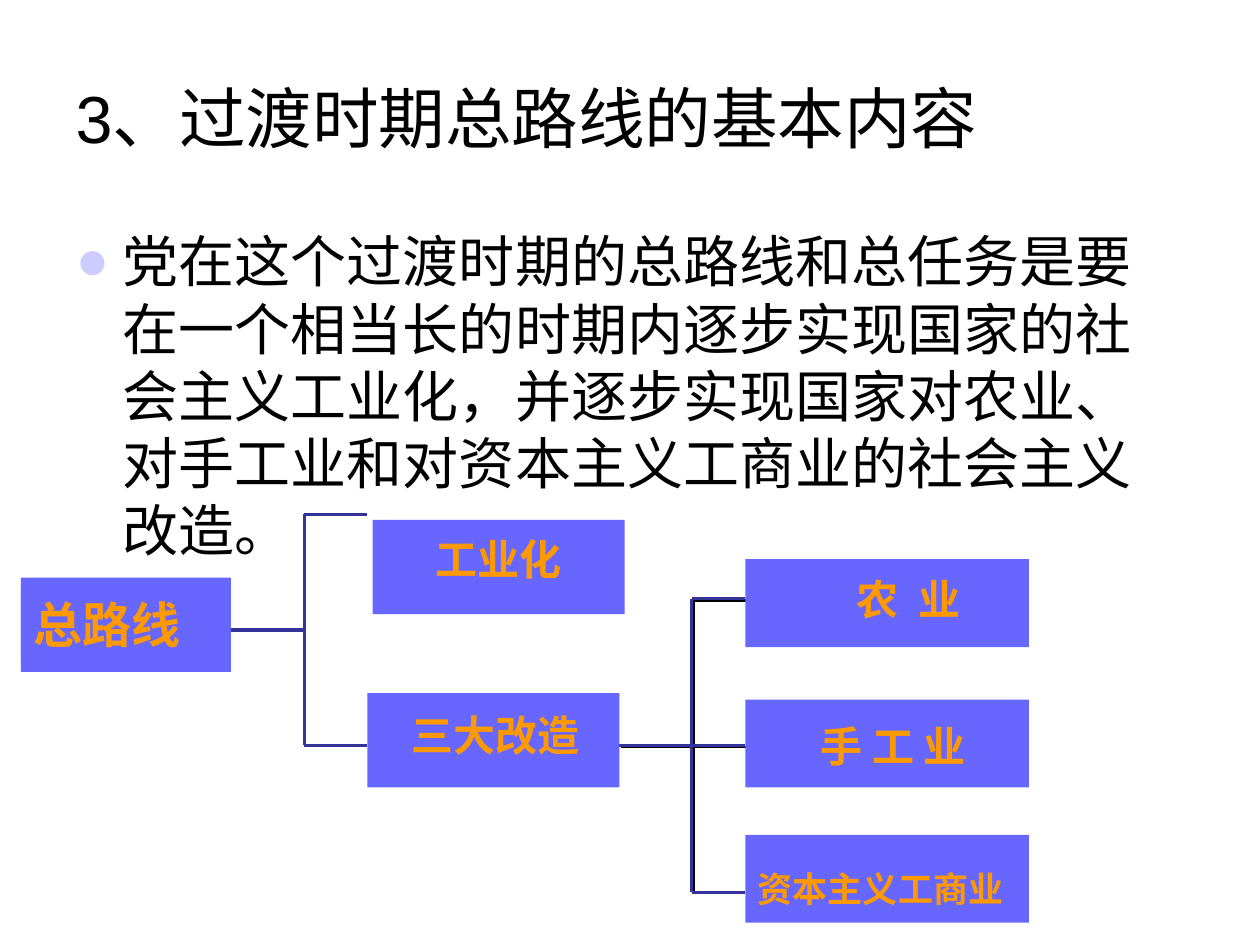
from lxml import etree
from pptx import Presentation
from pptx.dml.color import RGBColor
from pptx.enum.shapes import MSO_CONNECTOR, MSO_SHAPE
from pptx.enum.text import MSO_ANCHOR, MSO_AUTO_SIZE, PP_ALIGN
from pptx.oxml.ns import qn
from pptx.util import Pt

PX = 9525  # 96 px to the inch
HUE = {"ink": "000000", "dot": "CCCCFF", "line": "333399",
       "box": "6767FF", "gold": "FF9900"}
SANS = "Noto Sans CJK SC"


def rgb(name):
    return RGBColor.from_string(HUE[name])


def emu(*nums):
    return [round(n * PX) for n in nums]


def write(shape, text, size=24, font=SANS, hue="gold", bold=True,
          align=PP_ALIGN.LEFT, anchor=MSO_ANCHOR.TOP, gap=0):
    frame = shape.text_frame
    frame.word_wrap = True
    frame.auto_size = MSO_AUTO_SIZE.NONE
    frame.vertical_anchor = anchor
    para = frame.paragraphs[0]
    para.alignment = align
    para.space_before = Pt(0)
    run = para.add_run()
    run.text = text
    run.font.size = Pt(size)
    run.font.name = font
    run.font.bold = bold
    run.font.color.rgb = rgb(hue)
    props = run._r.get_or_add_rPr()
    if font == SANS:
        etree.SubElement(props, qn("a:ea"), typeface=font)
    if gap:
        props.set("spc", str(gap * 100))
    return para


def place(shape, box):
    shape.left, shape.top, shape.width, shape.height = emu(*box)
    return shape


def bullet(para, hue, indent):
    props = para._p.get_or_add_pPr()
    props.set("marL", str(indent * PX))
    props.set("indent", str(-indent * PX))
    tint = etree.SubElement(props, qn("a:buClr"))
    etree.SubElement(tint, qn("a:srgbClr"), val=HUE[hue])
    etree.SubElement(props, qn("a:buFont"), typeface="Arial")
    etree.SubElement(props, qn("a:buChar"), char="●")


def panel(slide, box):
    shape = slide.shapes.add_shape(MSO_SHAPE.RECTANGLE, *emu(*box))
    shape.shadow.inherit = False
    shape.fill.solid()
    shape.fill.fore_color.rgb = rgb("box")
    shape.line.fill.background()
    return shape


def label(slide, box, inset, text, **form):
    """Draw a panel and its caption; inset is relative to the panel."""
    panel(slide, box)
    x, y, w, h = inset
    area = slide.shapes.add_textbox(*emu(box[0] + x, box[1] + y, w, h))
    write(area, text, **form)


def link(slide, start, end, width, shade):
    line = slide.shapes.add_connector(
        MSO_CONNECTOR.STRAIGHT, *emu(*start, *end))
    line.line.color.rgb = rgb("line")
    line.line.width = Pt(width)
    fx = etree.SubElement(line._element.spPr, qn("a:effectLst"))
    if shade:
        cast = etree.SubElement(fx, qn("a:outerShdw"), dist=str(Pt(1.4)),
                                dir="2700000", algn="ctr", rotWithShape="0")
        etree.SubElement(cast, qn("a:srgbClr"), val=HUE["ink"])


def fork(slide, box, knee, arms, width, shade=False):
    """Draw a stem, a trunk at knee and arms given as (drop, width, shade)."""
    x, y, w, h = box
    mid, trunk = y + h / 2, x + knee
    link(slide, (x, mid), (trunk, mid), width, shade)
    for end in (y, y + h):
        link(slide, (trunk, mid), (trunk, end), width, shade)
    for drop, weight, dark in arms:
        link(slide, (trunk, y + drop), (x + w, y + drop), weight, dark)


def heading(slide, box):
    write(place(slide.shapes.title, box), "3、过渡时期总路线的基本内容",
          size=38, font="Arial", hue="ink", bold=False,
          anchor=MSO_ANCHOR.MIDDLE)


def body(slide, box):
    para = write(
        place(slide.placeholders[1], box),
        "党在这个过渡时期的总路线和总任务是要在一个相当长的时期内逐步实现"
        "国家的社会主义工业化，并逐步实现国家对农业、对手工业和对资本主义"
        "工商业的社会主义改造。",
        size=32, font="Arial", hue="ink", bold=False)
    bullet(para, "dot", 36)


def tree(slide, box):
    x, y = box[:2]
    fork(slide, (x + 160, y, 104, 176), 56,
         [(0, 2.25, False), (176, 2.25, False)], 2.25)
    fork(slide, (x + 456, y + 64, 96, 224), 55,
         [(0, 1.5, True), (112, 1.5, True), (224, 2.25, False)], 1.5, True)

    panel(slide, (x, y + 48, 160, 72))
    write(panel(slide, (x, y + 56, 144, 55)), "总路线", size=28)

    label(slide, (x + 268, y + 4, 192, 72), (20, 6, 152, 48), "工业化",
          align=PP_ALIGN.CENTER)
    label(slide, (x + 264, y + 136, 192, 72), (24, 8, 152, 48), "三大改造")

    leaves = [
        (34, (32, 6, 184, 48), "农 业", {"align": PP_ALIGN.CENTER, "gap": 3}),
        (141, (48, 11, 200, 48), "手 工 业", {}),
        (244, (0, 20, 248, 41), "资本主义工商业", {"size": 20}),
    ]
    for drop, inset, text, form in leaves:
        label(slide, (x + 552, y + drop, 216, 67), inset, text, **form)


def main():
    deck = Presentation()
    deck.slide_width, deck.slide_height = emu(960, 720)
    slide = deck.slides.add_slide(deck.slide_layouts[1])
    heading(slide, (48, 29, 864, 120))
    body(slide, (48, 168, 864, 475))
    tree(slide, (16, 392, 768, 311))
    deck.save("out.pptx")


if __name__ == "__main__":
    main()
